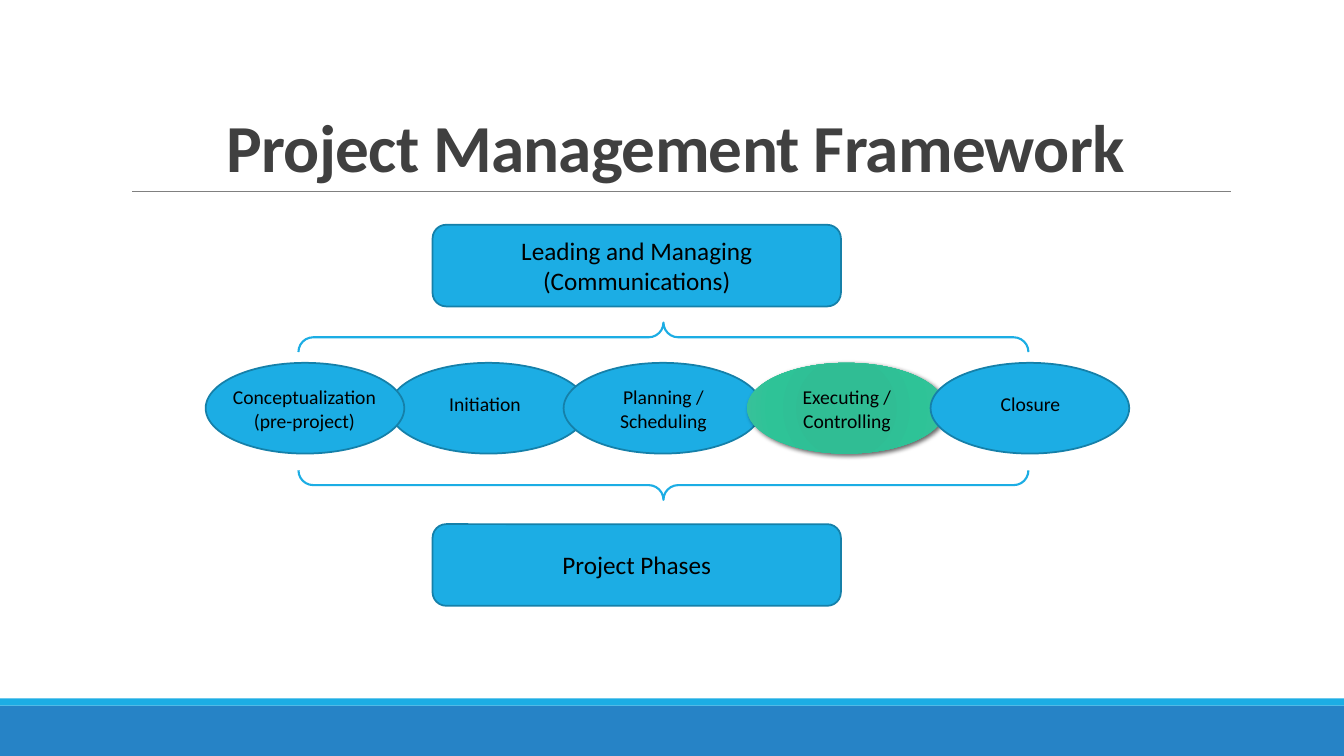
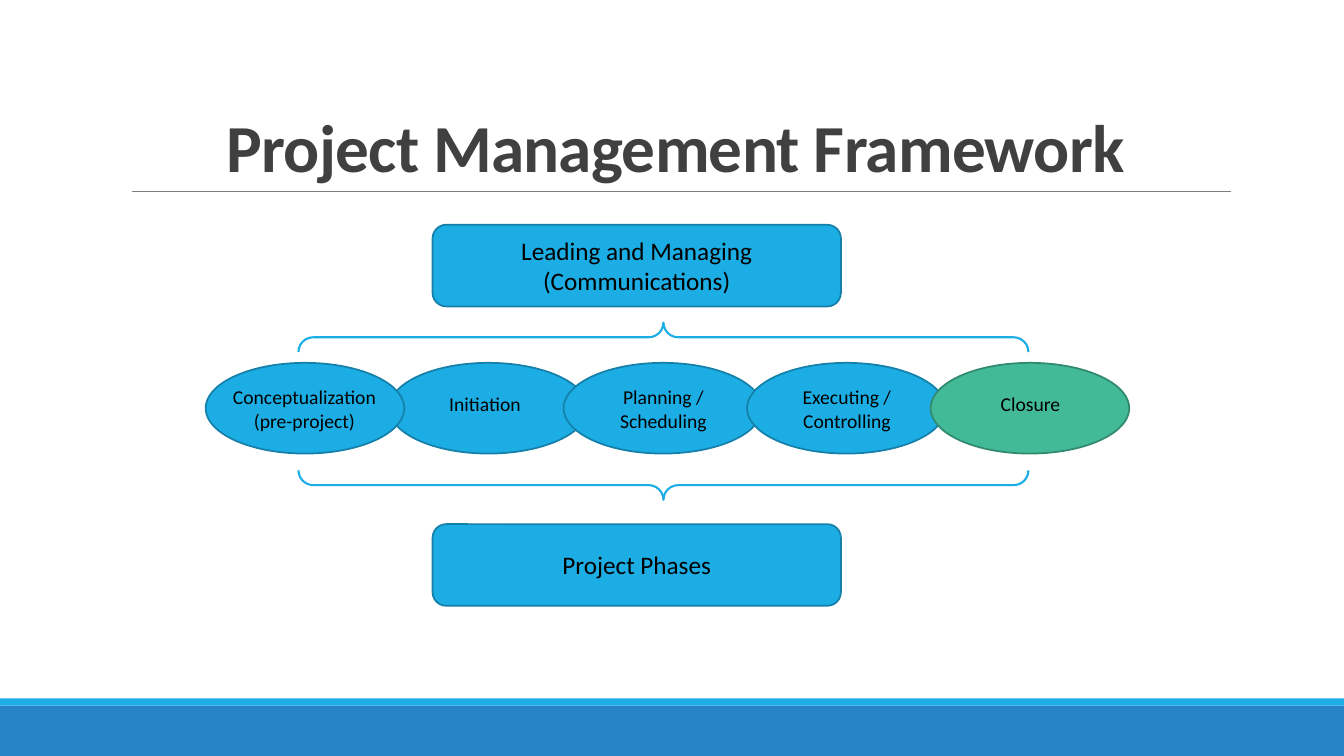
from dataclasses import dataclass
from typing import Any, Optional

from lxml import etree
from pptx import Presentation
from pptx.dml.color import RGBColor
from pptx.enum.shapes import MSO_CONNECTOR as Connector, MSO_SHAPE as Preset
from pptx.enum.text import MSO_ANCHOR as Anchor, MSO_AUTO_SIZE as AutoSize, PP_ALIGN as Align
from pptx.oxml import parse_xml
from pptx.oxml.ns import nsdecls, qn
from pptx.util import Inches, Pt


@dataclass(frozen=True)
class Look:
    """Fill and outline of a shape; gradient stops replace the plain fill."""
    fill: Optional[str] = None
    line: Optional[str] = None
    weight: float = 1.25
    stops: tuple[tuple[int, str], ...] = ()


@dataclass(frozen=True)
class Theme:
    """Colours, looks and type sizes shared by the slides."""
    font: str = "Calibri"
    ink: str = "000000"
    title_ink: str = "404040"
    rule: str = "808080"
    title_size: int = 48
    caption_size: int = 18
    label_size: int = 14
    footer: Look = Look("2683C6")
    accent: Look = Look("1CADE4")
    plain: Look = Look("1CADE4", "1580A9")
    brace: Look = Look(None, "1CADE4", 1.5)
    done: Look = Look("42BA97", "318A70")
    raised: Look = Look(stops=((0, "2DBE94"), (34, "30BD94"), (70, "2EC397"), (100, "3CC09A")))


@dataclass(frozen=True)
class Box:
    """Position and size in inches."""
    left: float
    top: float
    width: float
    height: float

    def lengths(self) -> tuple:
        """Return the four lengths in the order python-pptx expects."""
        return tuple(Inches(value) for value in (self.left, self.top, self.width, self.height))


@dataclass(frozen=True)
class Phase:
    """A project phase with the left edges of its ellipse and label."""
    lines: tuple[str, ...]
    left: float
    label_left: float


@dataclass(frozen=True)
class Caption:
    """A rounded box with centred lines of text."""
    lines: tuple[str, ...]
    top: float


THEME = Theme()
TITLE = "Project Management Framework"
PHASES = (
    Phase(("Conceptualization", "(pre-project)"), 2.04, 2.18),
    Phase(("Initiation",), 3.86, 3.97),
    Phase(("Planning /", "Scheduling"), 5.59, 5.74),
    Phase(("Executing /", "Controlling"), 7.41, 7.56),
    Phase(("Closure",), 9.23, 9.38),
)
CAPTIONS = (
    Caption(("Leading and Managing", "(Communications)"), 2.23),
    Caption(("Project Phases",), 5.2),
)
HIGHLIGHTS = ({3: THEME.raised}, {4: THEME.done})


def apply_format(target: Any, values: dict[str, Any]) -> None:
    """Set each named attribute on the target."""
    for name, value in values.items():
        setattr(target, name, value)


def add_gradient(shape: Any, stops: tuple[tuple[int, str], ...]) -> None:
    """Give the shape a circular gradient and a soft shadow."""
    colours = "".join(
        f'<a:gs pos="{position * 1000}"><a:srgbClr val="{colour}"/></a:gs>'
        for position, colour in stops
    )
    gradient = parse_xml(
        f'<a:gradFill {nsdecls("a")} rotWithShape="1"><a:gsLst>{colours}</a:gsLst>'
        '<a:path path="circle"><a:fillToRect l="100000" t="100000" r="100000" b="100000"/>'
        '</a:path></a:gradFill>'
    )
    shadow = parse_xml(
        f'<a:outerShdw {nsdecls("a")} blurRad="{Pt(3.5)}" dist="{Pt(2)}" dir="2700000" '
        'rotWithShape="0"><a:srgbClr val="000000"><a:alpha val="60000"/></a:srgbClr>'
        '</a:outerShdw>'
    )
    properties = shape.element.spPr
    properties.replace(properties.find(qn("a:noFill")), gradient)
    properties.find(qn("a:effectLst")).append(shadow)


def add_shape(page: Any, preset: Any, box: Box, look: Look) -> Any:
    """Draw a preset shape with the given look."""
    shape = page.shapes.add_shape(preset, *box.lengths())
    shape.shadow.inherit = False
    if look.fill:
        shape.fill.solid()
        shape.fill.fore_color.rgb = RGBColor.from_string(look.fill)
    else:
        shape.fill.background()
    if look.line:
        shape.line.color.rgb = RGBColor.from_string(look.line)
        shape.line.width = Pt(look.weight)
    else:
        shape.line.fill.background()
    if look.stops:
        add_gradient(shape, look.stops)
    return shape


def add_text(page: Any, box: Box, lines: tuple[str, ...], size: int) -> None:
    """Write centred lines, one paragraph each."""
    frame = page.shapes.add_textbox(*box.lengths()).text_frame
    apply_format(frame, {"word_wrap": True, "auto_size": AutoSize.SHAPE_TO_FIT_TEXT})
    for index, line in enumerate(lines):
        para = frame.add_paragraph() if index else frame.paragraphs[0]
        para.alignment = Align.CENTER
        span = para.add_run()
        span.text = line
        apply_format(span.font, {"name": THEME.font, "size": Pt(size)})
        span.font.color.rgb = RGBColor.from_string(THEME.ink)


def add_title(page: Any) -> None:
    """Place and format the title placeholder."""
    title = page.shapes.title
    lengths = Box(1.2, 0.31, 11, 1.59).lengths()
    apply_format(title, dict(zip(("left", "top", "width", "height"), lengths)))
    frame = title.text_frame
    apply_format(frame, {"vertical_anchor": Anchor.BOTTOM, "word_wrap": True})
    para = frame.paragraphs[0]
    apply_format(para, {"alignment": Align.CENTER, "line_spacing": 0.85})
    span = para.add_run()
    span.text = TITLE
    apply_format(span.font, {"name": THEME.font, "size": Pt(THEME.title_size), "bold": True})
    span.font.color.rgb = RGBColor.from_string(THEME.title_ink)
    span.font._element.set("spc", "-50")


def add_background(page: Any) -> None:
    """Draw the bands and title rule, then move them to the shared layout."""
    rule = page.shapes.add_connector(
        Connector.STRAIGHT, Inches(1.31), Inches(1.9), Inches(12.21), Inches(1.9)
    )
    rule.line.color.rgb = RGBColor.from_string(THEME.rule)
    rule.line.width = Pt(0.5)
    etree.SubElement(rule.element.spPr, qn("a:effectLst"))
    parts = (
        add_shape(page, Preset.RECTANGLE, Box(0, 7, 13.33, 0.5), THEME.footer),
        add_shape(page, Preset.RECTANGLE, Box(0, 6.93, 13.33, 0.07), THEME.accent),
        rule,
    )
    for part in parts:
        page.slide_layout.shapes.element.append(part.element)


def add_phases(page: Any, highlights: dict[int, Look]) -> None:
    """Draw the overlapping ellipses, the first one on top, and their labels."""
    for index in (1, 2, 3, 4, 0):
        box = Box(PHASES[index].left, 3.6, 1.97, 0.9)
        add_shape(page, Preset.OVAL, box, highlights.get(index, THEME.plain))
    for phase in PHASES:
        count = len(phase.lines)
        box = Box(phase.label_left, 3.91 - 0.07 * count, 1.68, 0.1 + 0.235 * count)
        add_text(page, box, phase.lines, THEME.label_size)


def add_caption(page: Any, caption: Caption) -> None:
    """Draw a rounded box with its text centred inside."""
    frame = Box(4.29, caption.top, 4.05, 0.81)
    add_shape(page, Preset.ROUNDED_RECTANGLE, frame, THEME.plain)
    height = 0.1 + 0.3 * len(caption.lines)
    top = frame.top + (frame.height - height) / 2
    add_text(page, Box(frame.left + 0.5, top, 3.05, height), caption.lines, THEME.caption_size)


def add_framework(deck: Any, highlights: dict[int, Look]) -> Any:
    """Add one framework slide with its highlighted phase."""
    page = deck.slides.add_slide(deck.slide_layouts.get_by_name("Title Only"))
    add_title(page)
    add_phases(page, highlights)
    for caption in CAPTIONS:
        add_caption(page, caption)
    brace = add_shape(page, Preset.DOUBLE_BRACE, Box(5.7, 0.46, 1.76, 7.24), THEME.brace)
    brace.rotation = 90
    return page


def main() -> None:
    """Build and save the deck."""
    deck = Presentation()
    apply_format(deck, {"slide_width": Inches(13.33), "slide_height": Inches(7.5)})
    pages = [add_framework(deck, highlights) for highlights in HIGHLIGHTS]
    add_background(pages[0])
    deck.save("out.pptx")


main()
